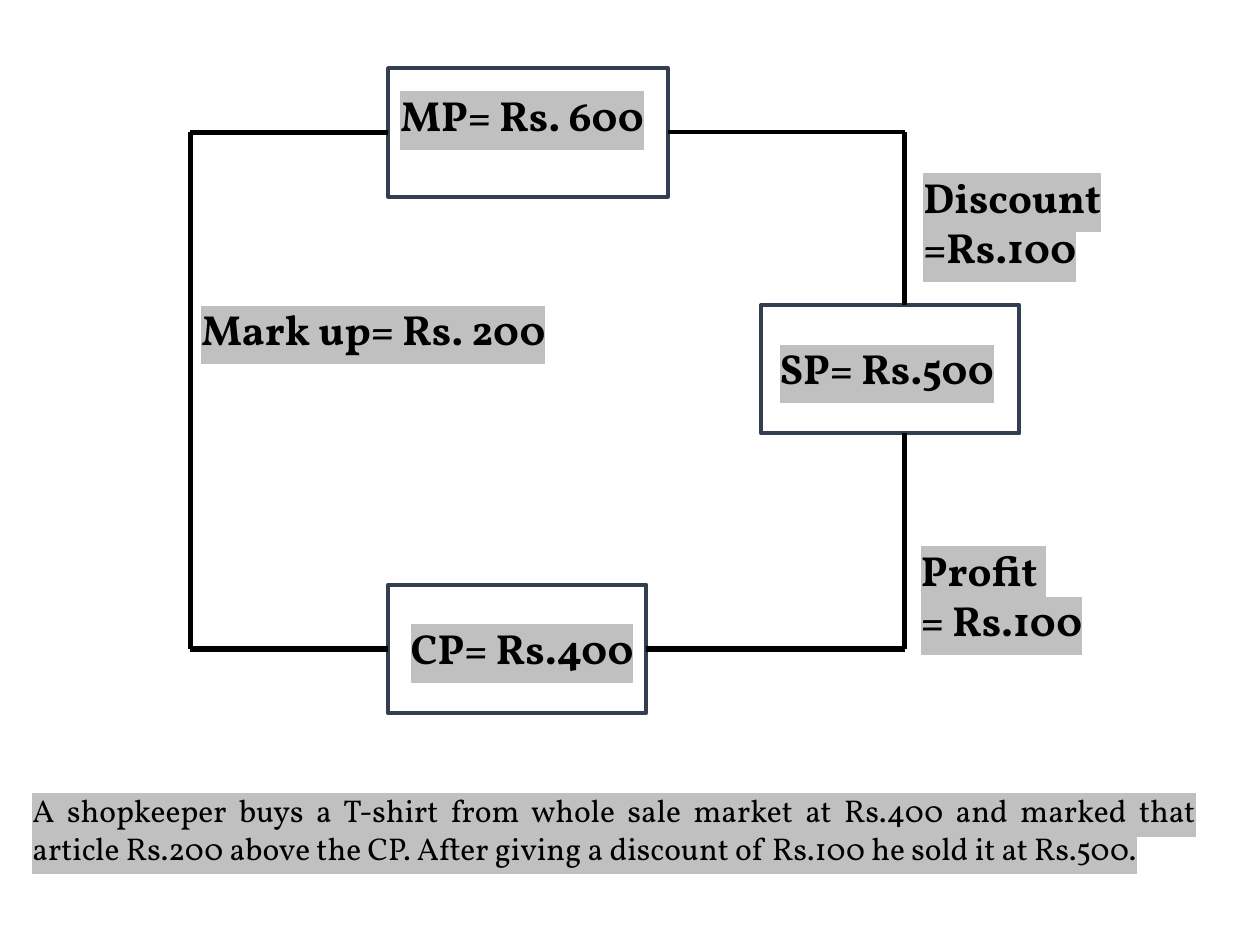
from lxml import etree
from pptx import Presentation, util as u
from pptx.dml.color import RGBColor
from pptx.enum import shapes, text
from pptx.oxml import ns

COLORS = {"ink": "000000", "paper": "FFFFFF", "border": "333F50", "highlight": "C0C0C0"}
FONT = "Vollkorn"
LEFT, RIGHT = 1, 3
BOX_HEIGHT = 1.02


def rgb(name):
    return RGBColor.from_string(COLORS[name])


class Diagram:
    """Holds the style and the slide being drawn."""

    def __init__(self, slide):
        self.s = slide

    def box(self, x, y, w):
        sp = self.s.shapes.add_shape(
            shapes.MSO_SHAPE.RECTANGLE, *map(u.Inches, (x, y, w, BOX_HEIGHT)))
        sp.shadow.inherit = False
        sp.fill.solid()
        sp.fill.fore_color.rgb = rgb("paper")
        sp.line.color.rgb = rgb("border")
        sp.line.width = u.Pt(2.25)
        return sp

    def label(self, x, y, w, h, *lines, size=24, bold=True, align=None):
        tf = self.s.shapes.add_textbox(*map(u.Inches, (x, y, w, h))).text_frame
        tf.word_wrap = True
        tf.auto_size = text.MSO_AUTO_SIZE.SHAPE_TO_FIT_TEXT
        for i, line in enumerate(lines):
            p = tf.add_paragraph() if i else tf.paragraphs[0]
            p.alignment = align
            p.font.name, p.font.size, p.font.bold = FONT, u.Pt(size), bold
            p.font.color.rgb = rgb("ink")
            r = p.add_run()
            r.text = line
            self.highlight(r)

    def highlight(self, r):
        mark = etree.SubElement(r._r.get_or_add_rPr(), ns.qn("a:highlight"))
        etree.SubElement(mark, ns.qn("a:srgbClr"), val=COLORS["highlight"])

    def line(self, start, end, width=3, begin=None, finish=None):
        """Draw a line; begin and finish are optional (shape, side) joints."""
        c = self.s.shapes.add_connector(
            shapes.MSO_CONNECTOR.STRAIGHT, *map(u.Inches, (*start, *end)))
        c.line.color.rgb = rgb("ink")
        c.line.width = u.Pt(width)
        etree.SubElement(c._element.spPr, ns.qn("a:effectLst"))
        if begin:
            c.begin_connect(*begin)
        if finish:
            c.end_connect(*finish)


def main():
    prs = Presentation()
    prs.slide_width, prs.slide_height = u.Inches(10), u.Inches(7.5)
    d = Diagram(prs.slides.add_slide(prs.slide_layouts[6]))

    sp_top = 2.42
    d.box(6.04, sp_top, 2.05)
    cp_box = d.box(3.08, 4.64, 2.05)
    mp_box = d.box(3.08, 0.54, 2.22)
    d.label(3.08, 0.66, 2.22, 0.5, "MP= Rs. 600")
    d.label(3.16, 4.89, 1.98, 0.5, "CP= Rs.400")
    d.label(6.09, 2.67, 1.94, 0.5, "SP= Rs.500")

    left, right, top, bottom = 1.51, 7.18, 1.05, 5.15
    d.line((3.08, bottom), (left, bottom), begin=(cp_box, LEFT))
    d.line((left, bottom), (left, top))
    d.line((left, top), (3.08, top), finish=(mp_box, LEFT))
    d.line((5.3, top), (right, top), width=2.25, begin=(mp_box, RIGHT))
    d.line((right, top), (right, sp_top))
    d.line((right, sp_top + BOX_HEIGHT), (right, bottom))
    d.line((5.13, bottom), (right, bottom), begin=(cp_box, RIGHT))

    d.label(1.5, 2.36, 3.05, 0.5, "Mark up= Rs. 200")
    d.label(7.23, 1.31, 2.58, 0.91, "Discount =Rs.100")
    d.label(7.21, 4.27, 2.22, 0.91, "Profit ", "= Rs.100")
    d.label(0.16, 6.23, 9.43, 0.71,
            "A shopkeeper buys a T-shirt from whole sale market at Rs.400 and marked "
            "that article Rs.200 above the CP. After giving a discount of Rs.100 he "
            "sold it at Rs.500.",
            size=18, bold=False, align=text.PP_ALIGN.JUSTIFY)
    prs.save("out.pptx")


if __name__ == "__main__":
    main()
